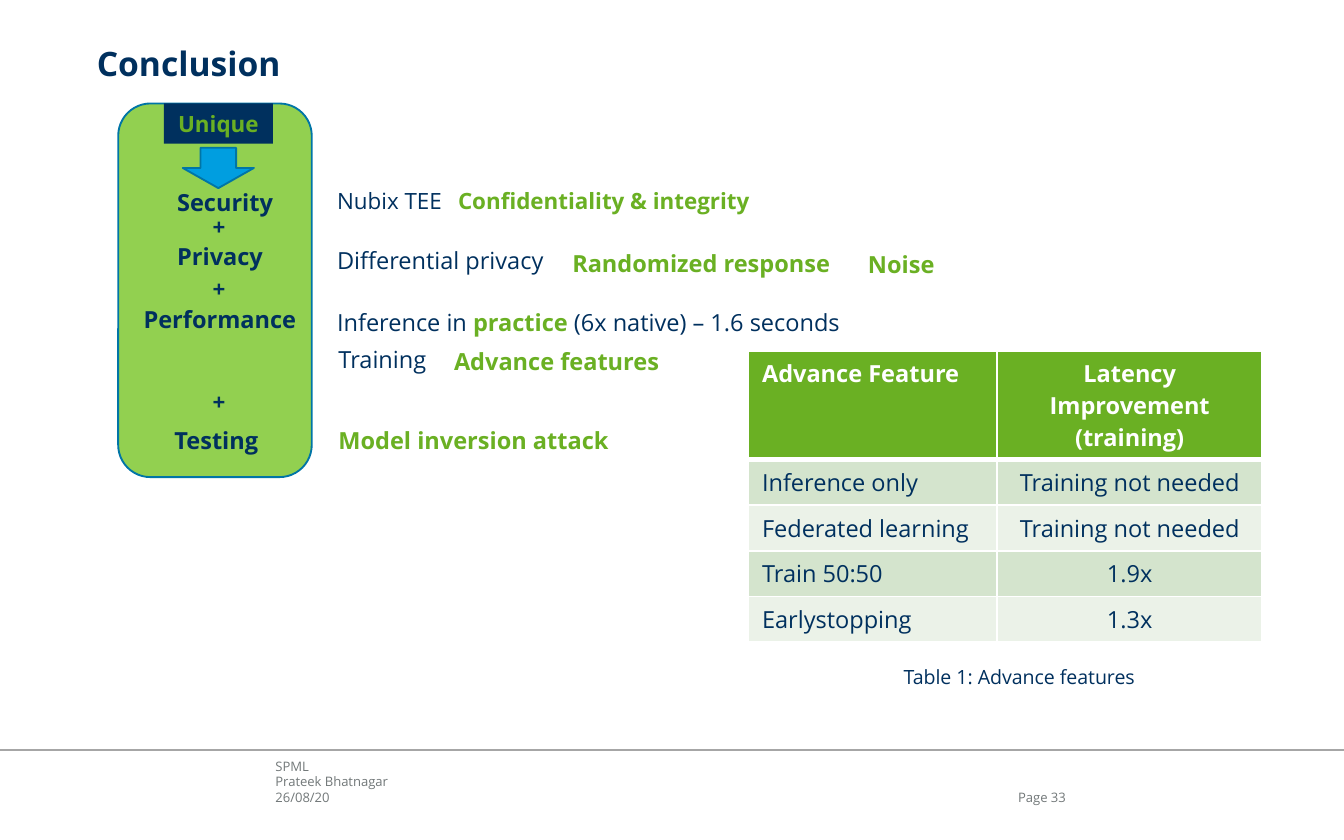
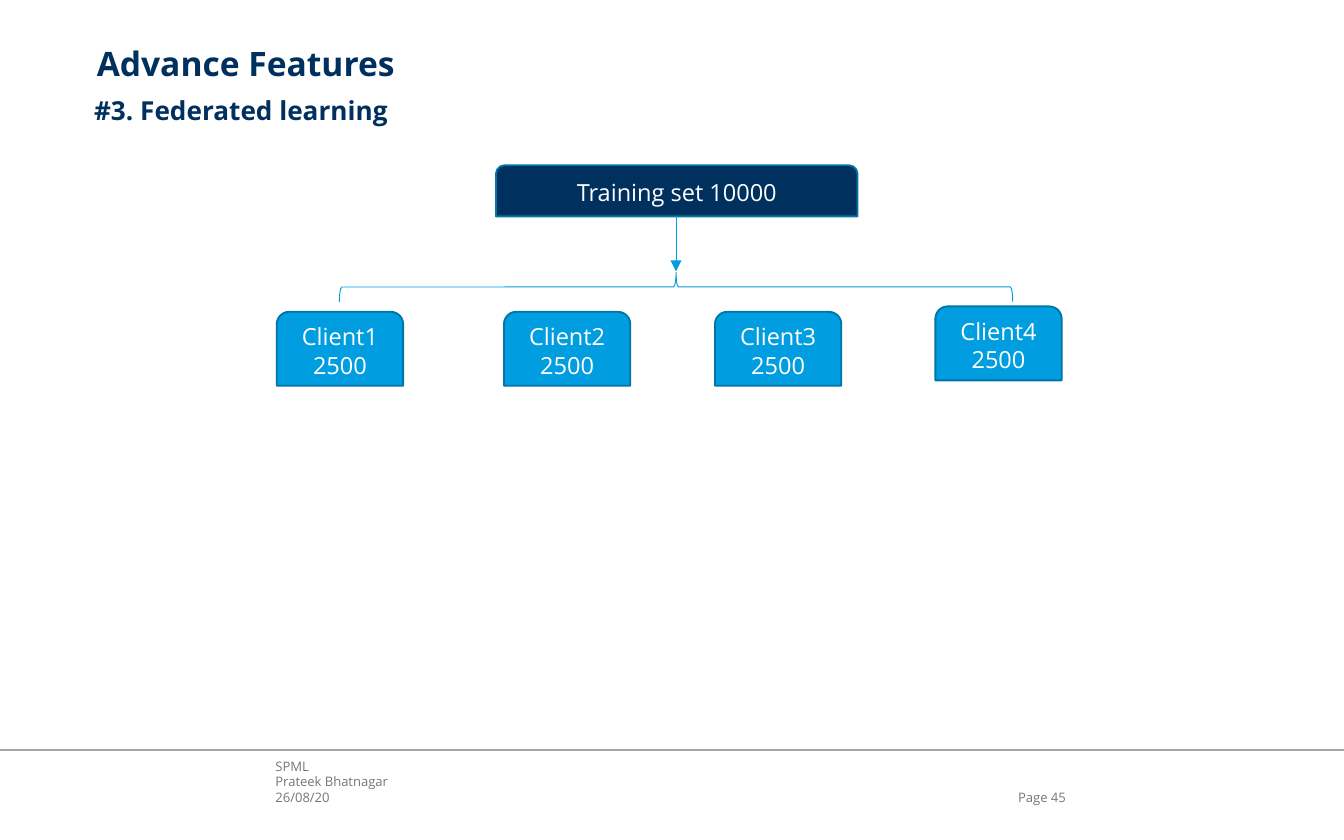
import pptx
import pptx.util
import pptx.oxml
import pptx.oxml.ns
from pptx.dml.color import RGBColor
from pptx.enum.shapes import MSO_CONNECTOR, MSO_SHAPE
from pptx.enum.text import MSO_ANCHOR, MSO_AUTO_SIZE, PP_ALIGN

NAVY = RGBColor(0x00, 0x30, 0x5E)
BLUE = RGBColor(0x00, 0x9E, 0xE0)
OUTLINE = RGBColor(0x00, 0x75, 0xA6)
GREEN = RGBColor(0x6A, 0xB0, 0x23)
LIME = RGBColor(0x92, 0xD0, 0x50)
BAND_DARK = RGBColor(0xD4, 0xE4, 0xCD)
BAND_LIGHT = RGBColor(0xEB, 0xF2, 0xE8)
FOOTER_GRAY = RGBColor(0x72, 0x78, 0x79)
RULE_GRAY = RGBColor(0xA6, 0xA6, 0xA6)
WHITE = RGBColor(0xFF, 0xFF, 0xFF)

FONT = "Open Sans"
BODY_SIZE = 12.6

# The slide is a grid of square cells, 100 columns by 62.5 rows.
COLUMNS, ROWS = 100, 62.5
CELL = pptx.util.Inches(0.1)

TITLE_STYLE = {"size": 18, "bold": True}
SUBTITLE_STYLE = {"size": 14, "bold": True}
FOOTER_STYLE = {"size": 7, "color": FOOTER_GRAY}
STRONG = {"bold": True}
HIGHLIGHT = {"bold": True, "color": GREEN}
LABEL_HEIGHT = 3.1

FEATURE_ROWS = [
    ("Advance Feature", "Latency Improvement (training)"),
    ("Inference only", "Training not needed"),
    ("Federated learning", "Training not needed"),
    ("Train 50:50", "1.9x"),
    ("Earlystopping", "1.3x"),
]


def grid(*cells):
    return [round(CELL * cell) for cell in cells]


def set_values(target, values):
    for name, value in values.items():
        setattr(target, name, value)


def style_font(font, size=BODY_SIZE, bold=False, color=NAVY):
    set_values(font, {"name": FONT, "size": pptx.util.Pt(size), "bold": bold})
    font.color.rgb = color


def write(frame, paragraphs, style, align=PP_ALIGN.LEFT):
    """Fill a text frame; each paragraph is a string or a list of (text, style) runs."""
    for index, content in enumerate(paragraphs):
        paragraph = frame.add_paragraph() if index else frame.paragraphs[0]
        paragraph.alignment = align
        runs = [(content, style)] if isinstance(content, str) else content
        for text, run_style in runs:
            run = paragraph.add_run()
            run.text = text
            style_font(run.font, **run_style)


def add_block(slide, area, paragraphs, style, align=PP_ALIGN.LEFT, anchor=MSO_ANCHOR.TOP):
    """Add wrapped text without inner margins."""
    frame = slide.shapes.add_textbox(*grid(*area)).text_frame
    set_values(frame, {"word_wrap": True, "vertical_anchor": anchor,
                       "margin_left": 0, "margin_right": 0,
                       "margin_top": 0, "margin_bottom": 0})
    write(frame, paragraphs, style, align)


def fit_label(frame):
    set_values(frame, {"word_wrap": False, "vertical_anchor": MSO_ANCHOR.TOP,
                       "auto_size": MSO_AUTO_SIZE.SHAPE_TO_FIT_TEXT})


def add_label(slide, column, row, width, content, style, height=LABEL_HEIGHT,
              align=PP_ALIGN.LEFT):
    """Add a one-line text whose box fits it."""
    frame = slide.shapes.add_textbox(*grid(column, row, width, height)).text_frame
    fit_label(frame)
    write(frame, [content], style, align)


def add_figure(slide, preset, area, fill=None, line=OUTLINE, weight=1):
    figure = slide.shapes.add_shape(preset, *grid(*area))
    figure.shadow.inherit = False
    if fill is None:
        figure.fill.background()
    else:
        figure.fill.solid()
        figure.fill.fore_color.rgb = fill
    if line is None:
        figure.line.fill.background()
    else:
        figure.line.color.rgb = line
        figure.line.width = pptx.util.Pt(weight)
    return figure


def add_data_box(slide, area, fill, lines):
    box = add_figure(slide, MSO_SHAPE.ROUND_2_SAME_RECTANGLE, area, fill)
    set_values(box.text_frame, {"word_wrap": True, "vertical_anchor": MSO_ANCHOR.MIDDLE})
    write(box.text_frame, lines, {"color": WHITE}, PP_ALIGN.CENTER)


def add_line(slide, ends, color, weight, arrow=False):
    line = slide.shapes.add_connector(MSO_CONNECTOR.STRAIGHT, *grid(*ends))
    line.line.color.rgb = color
    line.line.width = pptx.util.Pt(weight)
    if arrow:
        head = pptx.oxml.parse_xml(
            f'<a:tailEnd {pptx.oxml.ns.nsdecls("a")} type="triangle"/>')
        line.line._get_or_add_ln().append(head)
    line._element.spPr.append(
        pptx.oxml.parse_xml(f'<a:effectLst {pptx.oxml.ns.nsdecls("a")}/>'))


def set_borders(cell, bottom):
    """Draw white cell borders, ahead of the fill as the schema requires."""
    properties = cell._tc.get_or_add_tcPr()
    weights = {"lnL": 1, "lnR": 1, "lnT": 1, "lnB": bottom}
    for index, (side, weight) in enumerate(weights.items()):
        properties.insert(index, pptx.oxml.parse_xml(
            f'<a:{side} {pptx.oxml.ns.nsdecls("a")} w="{pptx.util.Pt(weight)}">'
            f'<a:solidFill><a:srgbClr val="{WHITE}"/></a:solidFill></a:{side}>'))


def add_feature_table(slide, column, row, widths, heights):
    area = (column, row, sum(widths), sum(heights))
    table = slide.shapes.add_table(len(heights), len(widths), *grid(*area)).table
    for table_column, width in zip(table.columns, grid(*widths)):
        table_column.width = width
    for table_row, height in zip(table.rows, grid(*heights)):
        table_row.height = height
    for r, texts in enumerate(FEATURE_ROWS):
        header = r == 0
        fill = GREEN if header else (BAND_LIGHT, BAND_DARK)[r % 2]
        style = {"bold": header, "color": WHITE if header else NAVY}
        for c, text in enumerate(texts):
            cell = table.cell(r, c)
            cell.fill.solid()
            cell.fill.fore_color.rgb = fill
            set_borders(cell, bottom=3 if header else 1)
            align = PP_ALIGN.CENTER if c else PP_ALIGN.LEFT
            write(cell.text_frame, [text], style, align)


def add_page(deck, title, number):
    """Add a blank slide with the shared title and footer."""
    slide = deck.slides.add_slide(deck.slide_layouts[6])
    add_block(slide, (20.5, 56.4, 42.6, 3.5), ["SPML", "Prateek Bhatnagar", "26/08/20"],
              FOOTER_STYLE, anchor=MSO_ANCHOR.BOTTOM)
    add_line(slide, (0, 55.8, COLUMNS, 55.8), RULE_GRAY, 1)
    add_block(slide, (73.5, 57.5, 5.8, 2.4), [f"Page {number}"],
              FOOTER_STYLE, PP_ALIGN.RIGHT, MSO_ANCHOR.BOTTOM)
    add_block(slide, (7.2, 3.2, 86.8, 6.2), [title], TITLE_STYLE)
    return slide


def build_conclusion(deck):
    slide = add_page(deck, "Conclusion", 33)
    add_figure(slide, MSO_SHAPE.ROUNDED_RECTANGLE, (8.8, 7.7, 14.4, 27.8), LIME)
    add_feature_table(slide, 55.7, 26.1, (18.5, 19.7),
                      [8.1] + [3.4] * (len(FEATURE_ROWS) - 1))
    add_block(slide, (63, 49.5, 25.7, 1.9), ["Table 1: Advance features"],
              {"size": 10.5}, PP_ALIGN.CENTER)

    small = {"size": 12}
    inference = [("Inference in ", {}), ("practice", HIGHLIGHT),
                 (" (6x native) – 1.6 seconds", {})]
    labels = [
        (12.2, 13.5, 9.3, "Security", STRONG),
        (12.2, 17.5, 8.5, "Privacy", STRONG),
        (9.7, 22.2, 13.5, "Performance", STRONG),
        (12, 31.2, 8.3, "Testing", STRONG),
        (24.1, 13.4, 10.2, "Nubix TEE", small),
        (33.1, 13.4, 24, "Confidentiality & integrity", HIGHLIGHT | small),
        (24.1, 17.8, 17.6, "Differential privacy", {}),
        (41.6, 18, 21.4, "Randomized response", HIGHLIGHT),
        (63.6, 18.1, 7, "Noise", HIGHLIGHT),
        (24.1, 22.4, 39.9, inference, {}),
        (24.2, 25.2, 8.6, "Training", {}),
        (32.8, 25.3, 17.5, "Advance features", HIGHLIGHT),
        (24.2, 31.2, 22.4, "Model inversion attack", HIGHLIGHT),
    ]
    for label in labels:
        add_label(slide, *label)
    for row in (15.4, 20, 28.4):
        add_label(slide, 14.8, row, 3, "+", STRONG | small, 3, PP_ALIGN.CENTER)

    add_figure(slide, MSO_SHAPE.DOWN_ARROW, (13.6, 11, 5.3, 3), BLUE)
    unique = add_figure(slide, MSO_SHAPE.RECTANGLE, (12.2, 7.7, 8.1, 3), NAVY, line=None)
    fit_label(unique.text_frame)
    write(unique.text_frame, ["Unique"], HIGHLIGHT | small, PP_ALIGN.CENTER)


def build_federated_learning(deck):
    slide = add_page(deck, "Advance Features", 45)
    add_block(slide, (7, 7, 86.8, 4.2), ["#3. Federated learning"], SUBTITLE_STYLE)
    add_data_box(slide, (36.9, 12.3, 26.9, 3.8), NAVY, ["Training set 10000"])
    add_line(slide, (50.3, 16.1, 50.3, 20.2), BLUE, 0.5, arrow=True)
    brace = add_figure(slide, MSO_SHAPE.LEFT_BRACE, (49.2, -3.7, 2.2, 50.1),
                       line=BLUE, weight=0.5)
    brace.rotation = 90
    client_corners = [(20.6, 23.2), (37.5, 23.2), (53.2, 23.2), (69.6, 22.8)]
    for number, corner in enumerate(client_corners, 1):
        add_data_box(slide, (*corner, 9.4, 5.5), BLUE, [f"Client{number}", "2500"])


def main():
    deck = pptx.Presentation()
    deck.slide_width, deck.slide_height = grid(COLUMNS, ROWS)
    build_conclusion(deck)
    build_federated_learning(deck)
    deck.save("out.pptx")


if __name__ == "__main__":
    main()
